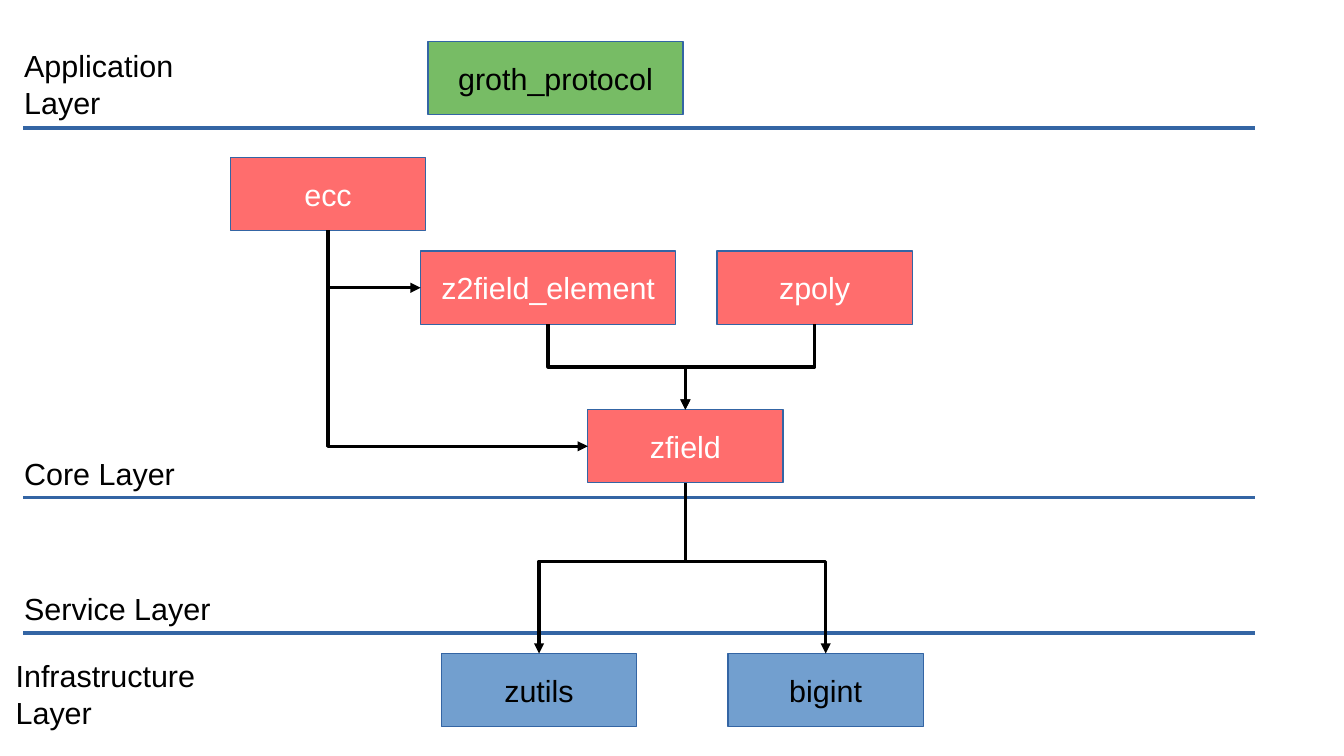
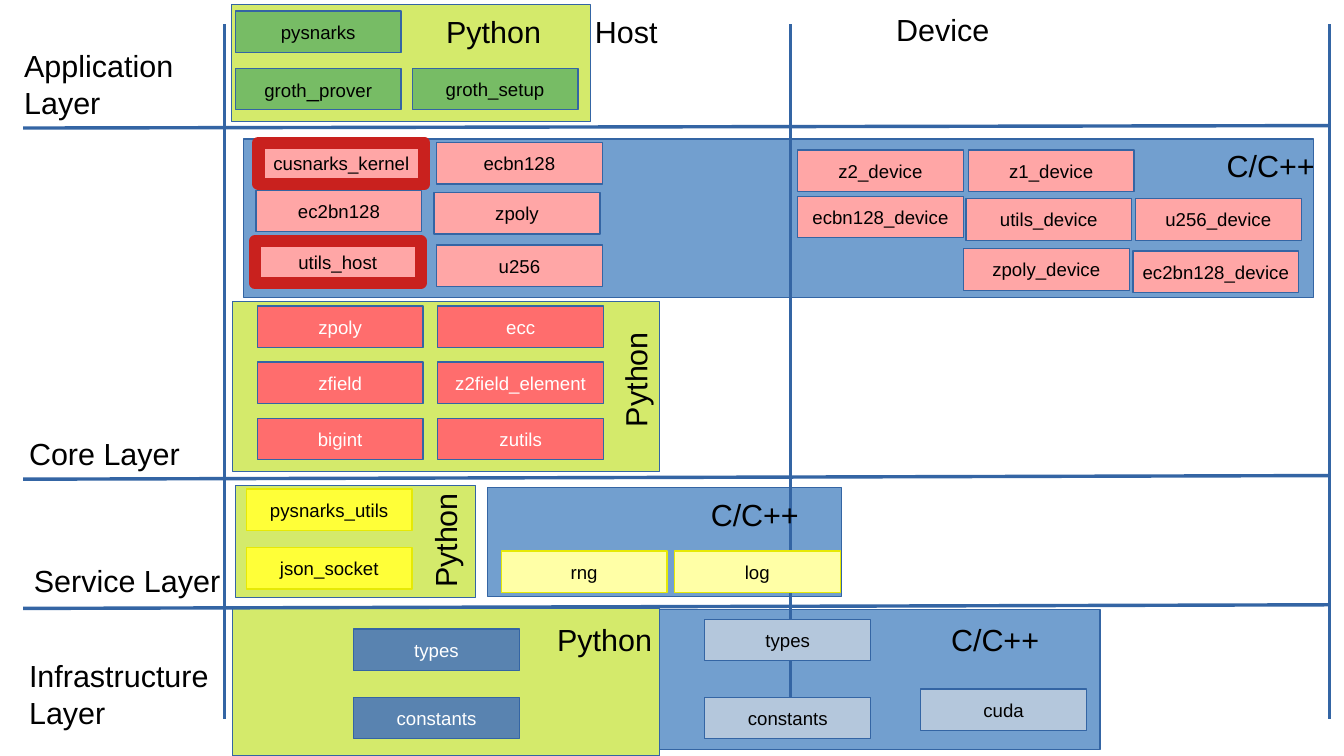
from dataclasses import dataclass

from lxml import etree
from pptx import Presentation
from pptx.dml.color import RGBColor
from pptx.enum.shapes import MSO_CONNECTOR as Link, MSO_SHAPE as Shape
from pptx.enum.text import MSO_ANCHOR as Anchor, MSO_AUTO_SIZE as AutoSize, PP_ALIGN as Align
from pptx.oxml.ns import qn
from pptx.util import Inches, Pt


@dataclass(frozen=True)
class Style:
    fill: str
    font: str = "000000"
    line: str = "3465A4"
    weight: float = 0


@dataclass(frozen=True)
class Theme:
    font: str = "Arial"
    label_size: int = 18
    module_size: int = 11
    underscore_size: int = 13
    text: str = "000000"
    rule: str = "3465A4"
    arrow: str = "000000"
    python_panel: Style = Style("D4EA6B")
    native_panel: Style = Style("729FCF")
    application: Style = Style("77BC65")
    core: Style = Style("FF6D6D", font="FFFFFF")
    native_core: Style = Style("FFA6A6")
    outlined_core: Style = Style("FFA6A6", line="C9211E", weight=7.2)
    service: Style = Style("FFFF38", line="E6E905")
    native_service: Style = Style("FFFFA6", line="E6E905")
    base: Style = Style("5983B0", font="FFFFFF")
    native_base: Style = Style("B4C7DC")


THEME = Theme()
BOTTOM, TOP, LEFT = 2, 0, 1
MODULE_WIDTH, MODULE_HEIGHT = 1.36, 0.34
BLOCK_WIDTH, WIDE_BLOCK, BLOCK_HEIGHT = 1.6, 2.09, 0.6


def color(value):
    return RGBColor.from_string(value)


def add_text(para, text, size, font_color):
    span = para.add_run()
    span.text = text
    span.font.name = THEME.font
    span.font.size = Pt(size)
    span.font.color.rgb = color(font_color)


def add_rect(page, left, top, width, height, style):
    rect = page.shapes.add_shape(
        Shape.RECTANGLE, Inches(left), Inches(top), Inches(width), Inches(height))
    rect.shadow.inherit = False
    rect.fill.solid()
    rect.fill.fore_color.rgb = color(style.fill)
    rect.line.color.rgb = color(style.line)
    rect.line.width = Pt(style.weight)
    return rect


def add_box(page, runs, place, style):
    """Add a rectangle with centred text; runs holds (text, size) pairs."""
    box = add_rect(page, *place, style)
    frame = box.text_frame
    frame.word_wrap = False
    frame.vertical_anchor = Anchor.MIDDLE
    para = frame.paragraphs[0]
    para.alignment = Align.CENTER
    for text, size in runs:
        add_text(para, text, size, style.font)
    return box


def add_block(page, name, left, top, style, width=BLOCK_WIDTH):
    return add_box(page, [(name, THEME.label_size)],
                   (left, top, width, BLOCK_HEIGHT), style)


def add_modules(page, style, modules):
    for name, left, top in modules:
        runs = [(name, THEME.module_size)] if isinstance(name, str) else name
        add_box(page, runs, (left, top, MODULE_WIDTH, MODULE_HEIGHT), style)


def add_label(page, text, left, top, width=1.1, height=0.46, turn=0):
    label = page.shapes.add_textbox(
        Inches(left), Inches(top), Inches(width), Inches(height))
    label.rotation = turn
    frame = label.text_frame
    frame.word_wrap = True
    frame.auto_size = AutoSize.SHAPE_TO_FIT_TEXT
    add_text(frame.paragraphs[0], text, THEME.label_size, THEME.text)


def add_layer_labels(page, labels):
    for name, left, top in labels:
        width = 1.6 if name == "Application" else 1.9
        add_label(page, f"{name} Layer", left, top, width, 0.66)


def add_line(page, kind, start, end, line_color):
    line = page.shapes.add_connector(kind, *map(Inches, start + end))
    line.line.color.rgb = color(line_color)
    line.line.width = Pt(0)
    etree.SubElement(line._element.spPr, qn("a:effectLst"))
    return line


def add_rule(page, start, end):
    add_line(page, Link.STRAIGHT, start, end, THEME.rule)


def add_arrow(page, source, target, side, bend=0.5):
    """Leave the bottom of source and enter target at its top or left side."""
    arrow = add_line(page, Link.ELBOW, (0, 0), (1, 1), THEME.arrow)
    arrow.begin_connect(source, BOTTOM)
    arrow.end_connect(target, side)
    run, drop = arrow.end_x - arrow.begin_x, arrow.end_y - arrow.begin_y
    middle_x, middle_y = arrow.begin_x + run // 2, arrow.begin_y + drop // 2

    # A quarter turn makes the elbow start downwards, so its extents swap.
    arrow.width, arrow.height = drop, abs(run)
    arrow.left, arrow.top = middle_x - drop // 2, middle_y - abs(run) // 2
    properties = arrow._element.spPr
    frame = properties.xfrm
    frame.flipV = False
    frame.flipH = run > 0
    frame.set("rot", "16200000" if run > 0 else "5400000")

    geometry = properties.find(qn("a:prstGeom"))
    if side == LEFT:
        geometry.set("prst", "bentConnector2")
    else:
        guide = etree.SubElement(geometry.find(qn("a:avLst")), qn("a:gd"))
        guide.set("name", "adj1")
        guide.set("fmla", f"val {round(bend * 100000)}")
    etree.SubElement(properties.find(qn("a:ln")), qn("a:tailEnd")).set("type", "triangle")


def build_dependencies(page):
    for y in (1.05, 4.08, 5.19):
        add_rule(page, (0.19, y), (10.29, y))
    add_block(page, "groth_protocol", 3.51, 0.34, THEME.application, WIDE_BLOCK)
    ecc = add_block(page, "ecc", 1.89, 1.29, THEME.core)
    element = add_block(page, "z2field_element", 3.45, 2.06, THEME.core, WIDE_BLOCK)
    zpoly = add_block(page, "zpoly", 5.88, 2.06, THEME.core)
    zfield = add_block(page, "zfield", 4.82, 3.36, THEME.core)
    zutils, bigint = (
        add_block(page, name, left, 5.36, Style(THEME.native_panel.fill))
        for name, left in (("zutils", 3.62), ("bigint", 5.97)))

    for target in (element, zfield):
        add_arrow(page, ecc, target, LEFT)
    for source in (element, zpoly):
        add_arrow(page, source, zfield, TOP)
    for target in (zutils, bigint):
        add_arrow(page, zfield, target, TOP, bend=0.46)

    add_layer_labels(page, [
        ("Application", 0.1, 0.34), ("Core", 0.1, 3.68),
        ("Service", 0.1, 4.79), ("Infrastructure", 0.03, 5.34)])


def build_modules(page):
    native, python = THEME.native_panel, THEME.python_panel
    for style, *place in (
            (native, 4.63, 5, 4.39, 1.15), (native, 4, 4, 2.9, 0.89),
            (native, 2, 1.14, 8.77, 1.3), (python, 1.9, 0.04, 2.94, 0.96),
            (python, 1.91, 2.47, 3.5, 1.4), (python, 1.93, 3.98, 1.97, 0.92),
            (python, 1.91, 4.99, 3.5, 1.21)):
        add_rect(page, *place, style)

    for x in (1.84, 6.48, 10.9):
        add_rule(page, (x, 0.2), (x, 5.9))
    for left_y, right_y in ((1.05, 1.03), (3.93, 3.9), (4.99, 4.96)):
        add_rule(page, (0.19, left_y), (10.9, right_y))

    prover = [("groth", THEME.module_size), ("_", THEME.underscore_size),
              ("prover", THEME.module_size)]
    add_modules(page, THEME.application, [
        ("pysnarks", 1.93, 0.09), (prover, 1.93, 0.56), ("groth_setup", 3.38, 0.56)])
    add_modules(page, THEME.native_core, [
        ("ecbn128", 3.58, 1.17), ("ec2bn128", 2.1, 1.56),
        ("zpoly", 3.56, 1.58), ("u256", 3.58, 2.01),
        ("z2_device", 6.54, 1.23), ("z1_device", 7.94, 1.23),
        ("ecbn128_device", 6.54, 1.61), ("utils_device", 7.92, 1.63),
        ("u256_device", 9.31, 1.63), ("zpoly_device", 7.9, 2.04),
        ("ec2bn128_device", 9.29, 2.06)])
    add_modules(page, THEME.outlined_core, [
        ("cusnarks_kernel", 2.12, 1.17), ("utils_host", 2.09, 1.98)])

    core_rows = (("zpoly", "ecc"), ("zfield", "z2field_element"), ("bigint", "zutils"))
    add_modules(page, THEME.core, [
        (name, 2.11 + 1.48 * column, 2.51 + 0.46 * row)
        for row, names in enumerate(core_rows)
        for column, name in enumerate(names)])

    add_modules(page, THEME.service, [
        ("pysnarks_utils", 2.02, 4.01), ("json_socket", 2.02, 4.49)])
    add_modules(page, THEME.native_service, [("rng", 4.11, 4.52), ("log", 5.53, 4.52)])
    add_modules(page, THEME.base, [("types", 2.9, 5.16), ("constants", 2.9, 5.72)])
    add_modules(page, THEME.native_base, [
        ("types", 5.78, 5.08), ("constants", 5.78, 5.72), ("cuda", 7.55, 5.65)])

    for text, left, top in (
            ("Host", 4.78, 0.06), ("Device", 7.25, 0.04),
            ("Python", 3.56, 0.06), ("Python", 4.47, 5.04),
            ("C/C++", 9.96, 1.16), ("C/C++", 5.73, 4.02), ("C/C++", 7.7, 5.04)):
        add_label(page, text, left, top)
    for left, top in ((4.69, 2.82), (3.13, 4.14)):
        add_label(page, "Python", left, top, turn=270)
    add_layer_labels(page, [
        ("Application", 0.1, 0.34), ("Core", 0.14, 3.52),
        ("Service", 0.18, 4.56), ("Infrastructure", 0.14, 5.34)])


def main():
    deck = Presentation()
    deck.slide_width, deck.slide_height = Inches(11.02), Inches(6.2)
    blank = deck.slide_layouts[6]
    for build in (build_dependencies, build_modules):
        build(deck.slides.add_slide(blank))
    deck.save("out.pptx")


if __name__ == "__main__":
    main()
